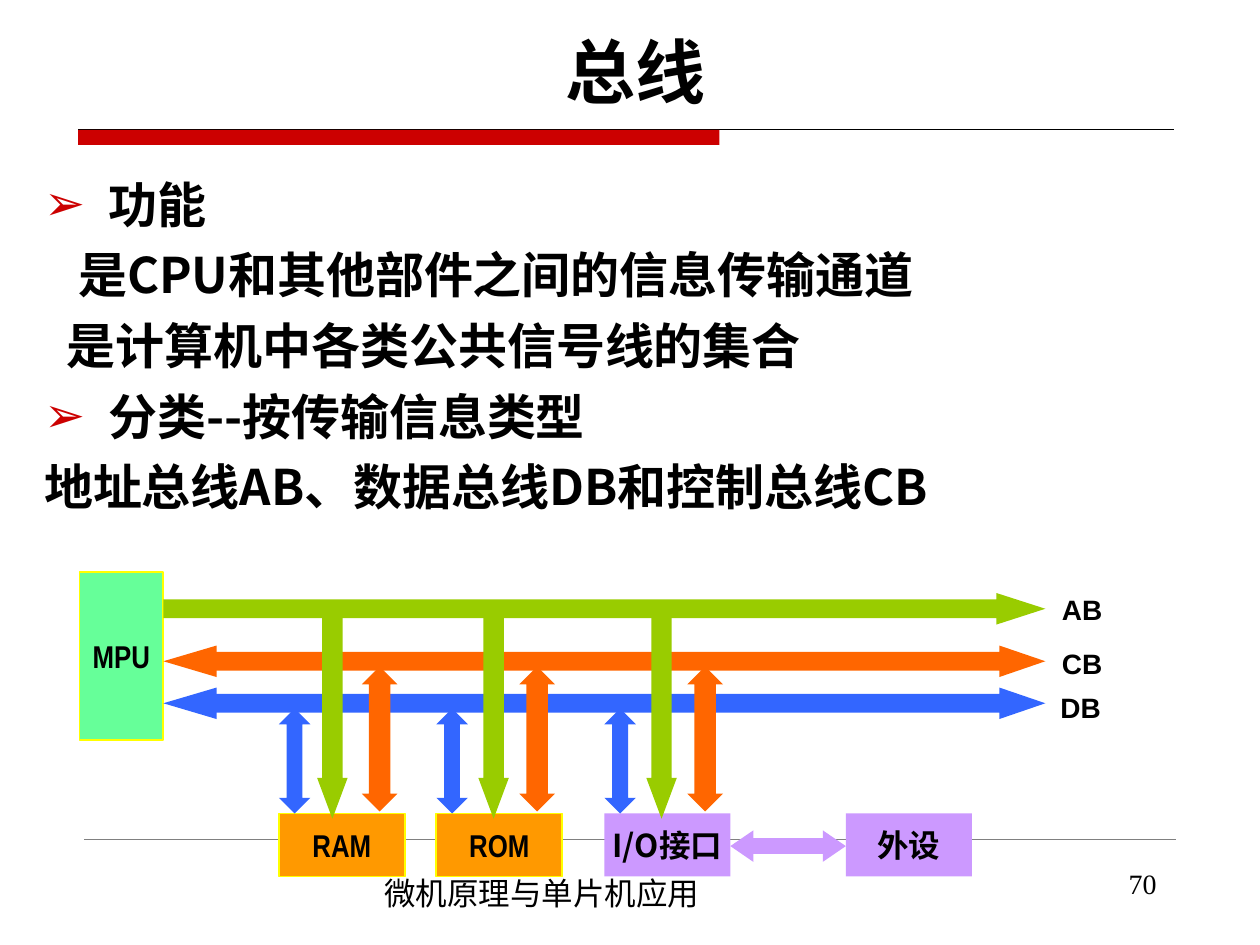
from dataclasses import dataclass

from lxml import etree
from pptx import Presentation
from pptx import util as u
from pptx.dml.color import RGBColor
from pptx.enum import shapes, text
from pptx.oxml import ns

BLACK = RGBColor(0, 0, 0)
RED = RGBColor(0xCC, 0, 0)
GRAY = RGBColor(0x80, 0x80, 0x80)
YELLOW = RGBColor(0xFF, 0xFF, 0)
MINT = RGBColor(0x66, 0xFF, 0x99)
GREEN = RGBColor(0x99, 0xCC, 0)
ORANGE = RGBColor(0xFF, 0x66, 0)
AMBER = RGBColor(0xFF, 0x99, 0)
BLUE = RGBColor(0x33, 0x66, 0xFF)
VIOLET = RGBColor(0xCC, 0x99, 0xFF)

CJK = "Noto Sans CJK SC"
NARROW = "Arial Narrow"
SHAPE = shapes.MSO_SHAPE
ALIGN = text.PP_ALIGN
ANCHOR = text.MSO_ANCHOR

# The diagram grid: twelve cells to the inch from its top left corner.
CELL = 1 / 12
GRID_LEFT, GRID_TOP = 0.63, 4.54
BOX_ROW = 23


@dataclass
class Box:
    """Place in inches."""
    left: float
    top: float
    width: float
    height: float

    def lengths(self) -> list:
        return [u.Inches(v) for v in (self.left, self.top, self.width, self.height)]


@dataclass
class Line:
    words: str
    bullet: bool = False
    indent: float = 0


@dataclass
class Bus:
    name: str
    row: float
    color: RGBColor
    label_column: float
    label_row: float
    two_way: bool = True


@dataclass
class Unit:
    """A block on the buses; shift moves its address arrow."""
    name: str
    column: float
    fill: RGBColor
    outline: RGBColor | None = None
    font: str = NARROW
    shift: float = 0
    on_bus: bool = True


LINES = [
    Line("功能", bullet=True),
    Line("是CPU和其他部件之间的信息传输通道", indent=0.27),
    Line("是计算机中各类公共信号线的集合", indent=0.18),
    Line("分类--按传输信息类型", bullet=True),
    Line("地址总线AB、数据总线DB和控制总线CB"),
]
BUSES = [
    Bus("AB", 2, GREEN, 91, 1.4, two_way=False),
    Bus("CB", 7, ORANGE, 91, 6.5),
    Bus("DB", 11, BLUE, 90.85, 10.7),
]
UNITS = [
    Unit("RAM", 19, AMBER, YELLOW, shift=-0.35),
    Unit("ROM", 34, AMBER, YELLOW),
    Unit("I/O接口", 50, VIOLET, font=CJK),
    Unit("外设", 73, VIOLET, on_bus=False),
]


def grid(column: float, row: float, columns: float, rows: float) -> Box:
    return Box(GRID_LEFT + column * CELL, GRID_TOP + row * CELL, columns * CELL, rows * CELL)


def write(paragraph, words: str, *, size: float, font: str = CJK, bold: bool = True,
          align=ALIGN.LEFT) -> None:
    paragraph.alignment = align
    run = paragraph.add_run()
    run.text = words
    run.font.size = u.Pt(size)
    run.font.name = font
    run.font.bold = bold
    run.font.color.rgb = BLACK
    east_asian = etree.SubElement(run.font._element, ns.qn("a:ea"))
    east_asian.set("typeface", CJK)


def add_label(slide, box: Box, words: str, **style) -> None:
    frame = slide.shapes.add_textbox(*box.lengths()).text_frame
    frame.word_wrap = True
    write(frame.paragraphs[0], words, **style)


def add_block(slide, kind, box: Box, fill: RGBColor, outline: RGBColor | None = None,
              adjust: tuple = ()):
    shape = slide.shapes.add_shape(kind, *box.lengths())
    shape.shadow.inherit = False
    shape.fill.solid()
    shape.fill.fore_color.rgb = fill
    if outline is None:
        shape.line.fill.background()
    else:
        shape.line.color.rgb = outline
        shape.line.width = u.Pt(1)
    for index, value in enumerate(adjust):
        shape.adjustments[index] = value
    return shape


def add_named_block(slide, box: Box, words: str, fill: RGBColor, outline, font: str) -> None:
    shape = add_block(slide, SHAPE.RECTANGLE, box, fill, outline)
    shape.text_frame.word_wrap = False
    shape.text_frame.vertical_anchor = ANCHOR.MIDDLE
    write(shape.text_frame.paragraphs[0], words, size=18, font=font, align=ALIGN.CENTER)


def add_rule(slide, left: float, right: float, y: float, color: RGBColor, width: float) -> None:
    rule = slide.shapes.add_connector(shapes.MSO_CONNECTOR.STRAIGHT, u.Inches(left), u.Inches(y),
                                      u.Inches(right), u.Inches(y))
    rule.line.color.rgb = color
    rule.line.width = u.Pt(width)
    etree.SubElement(rule._element.spPr, ns.qn("a:effectLst"))


def place(shape, box: Box) -> None:
    shape.left, shape.top, shape.width, shape.height = box.lengths()


def set_bullet(paragraph, shown: bool, indent: float) -> None:
    properties = paragraph._p.get_or_add_pPr()
    hanging = u.Inches(0.51) if shown else 0
    properties.set("marL", str(hanging or u.Inches(indent)))
    properties.set("indent", str(-hanging))
    if not shown:
        etree.SubElement(properties, ns.qn("a:buNone"))
        return
    color = etree.SubElement(properties, ns.qn("a:buClr"))
    etree.SubElement(color, ns.qn("a:srgbClr")).set("val", str(RED))
    etree.SubElement(properties, ns.qn("a:buChar")).set("char", "➢")


def add_words(slide) -> None:
    title, body = slide.placeholders
    place(title, Box(1.13, 0.21, 7.83, 0.73))
    title.text_frame.vertical_anchor = ANCHOR.BOTTOM
    title.text_frame.auto_size = text.MSO_AUTO_SIZE.NONE
    title.text_frame.margin_bottom = u.Inches(0.05)
    write(title.text_frame.paragraphs[0], "总线", size=40, align=ALIGN.CENTER)

    place(body, Box(0.25, 1.24, 9.4, 5.75))
    frame = body.text_frame
    frame.auto_size = text.MSO_AUTO_SIZE.NONE
    for index, line in enumerate(LINES):
        paragraph = frame.add_paragraph() if index else frame.paragraphs[0]
        set_bullet(paragraph, line.bullet, line.indent)
        paragraph.space_before = u.Pt(0)
        paragraph.line_spacing = 1.2
        write(paragraph, line.words, size=28)


def add_frame(slide) -> None:
    add_rule(slide, 0.62, 9.32, 1.03, BLACK, 0.75)
    add_block(slide, SHAPE.RECTANGLE, Box(0.62, 1.03, 5.09, 0.12), RED)
    add_rule(slide, 0.67, 9.33, 6.66, GRAY, 0.25)
    add_label(slide, Box(2.95, 6.89, 2.76, 0.4), "微机原理与单片机应用", size=18, bold=False)
    add_label(slide, Box(8.86, 6.83, 0.52, 0.52), "70", size=16, font="Times New Roman", bold=False)


def add_diagram(slide) -> None:
    add_named_block(slide, grid(0, 0, 8, 16), "MPU", MINT, YELLOW, NARROW)
    for bus in BUSES:
        start, head = (13, 1.46) if bus.two_way else (8, 1.55)
        add_block(slide, SHAPE.RIGHT_ARROW, grid(start, bus.row, 92 - start, 3), bus.color,
                  adjust=(0.6, head))
        if bus.two_way:
            add_block(slide, SHAPE.LEFT_ARROW, grid(8, bus.row, 6, 3), bus.color,
                      adjust=(0.15, 1.69))
        add_label(slide, grid(bus.label_column, bus.label_row, 9, 4.4), bus.name, size=16,
                  font="Arial", align=ALIGN.CENTER)
    for unit in UNITS:
        add_named_block(slide, grid(unit.column, BOX_ROW, 12, 6), unit.name, unit.fill,
                        unit.outline, unit.font)
    for unit in (unit for unit in UNITS if unit.on_bus):
        add_block(slide, SHAPE.DOWN_ARROW, grid(unit.column + unit.shift + 4, 4, 2.9, 19.5),
                  GREEN, adjust=(0.67, 1.34))
        add_block(slide, SHAPE.UP_DOWN_ARROW, grid(unit.column, 13, 3, 10), BLUE,
                  adjust=(0.67, 0.5))
        add_block(slide, SHAPE.UP_DOWN_ARROW, grid(unit.column + 7.9, 9, 3.4, 13.8), ORANGE,
                  adjust=(0.49, 0.6))
    add_block(slide, SHAPE.LEFT_RIGHT_ARROW, grid(62, 24.6, 11, 3), VIOLET, adjust=(0.5, 0.73))


def main() -> None:
    presentation = Presentation()
    presentation.slide_width, presentation.slide_height = u.Inches(10), u.Inches(7.5)
    slide = presentation.slides.add_slide(presentation.slide_layouts[1])
    add_words(slide)
    add_frame(slide)
    add_diagram(slide)
    presentation.save("out.pptx")


if __name__ == "__main__":
    main()
